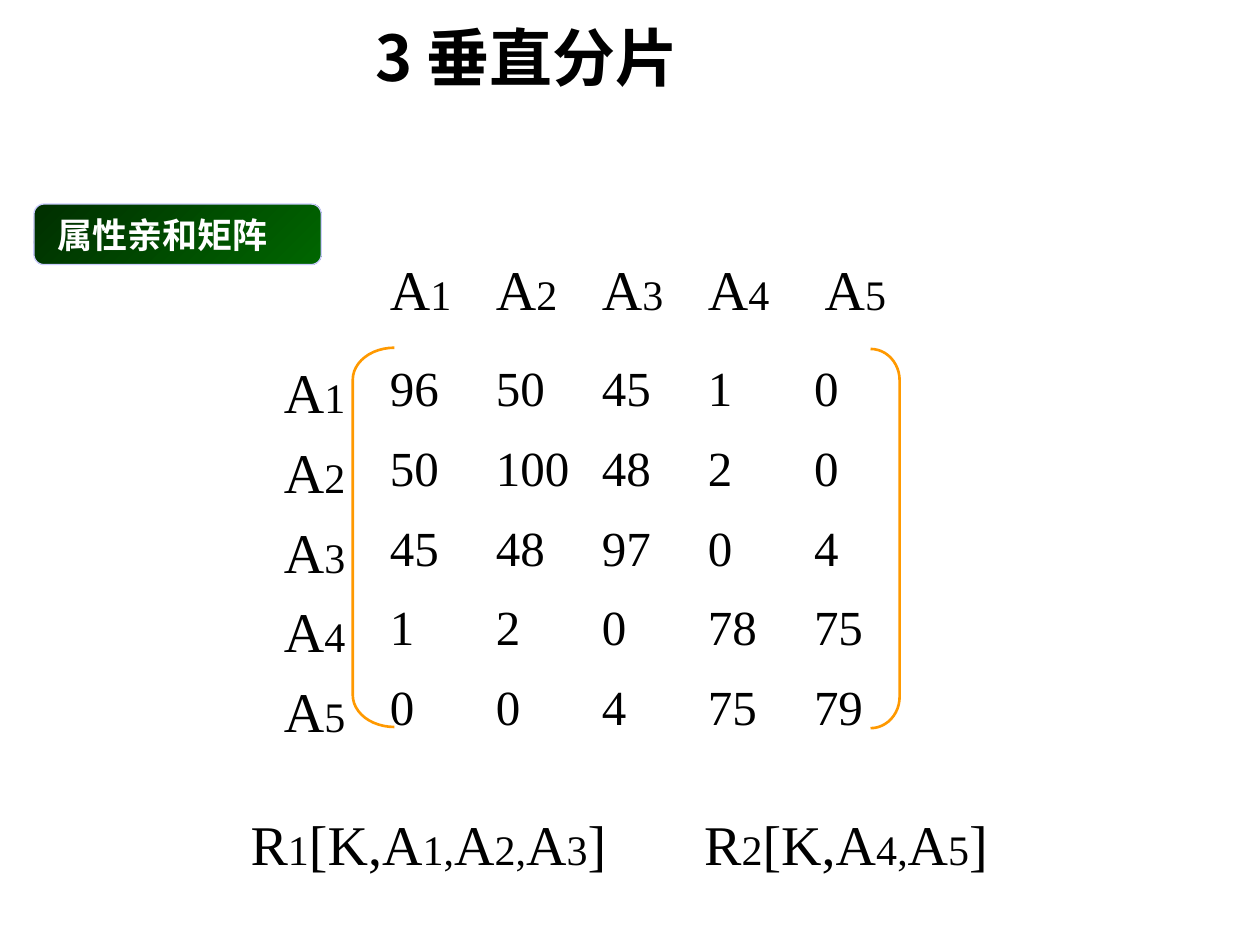
from pptx import Presentation, util as u
from pptx.dml.color import RGBColor
from pptx.enum import shapes, text
from pptx.oxml.ns import qn
from lxml import etree

COLORS = {"ink": "000000", "white": "FFFFFF", "bracket": "FF9900",
          "edge": "CCCCFF", "dark": "002F00", "green": "006600"}
MATRIX = [[96, 50, 45, 1, 0],
          [50, 100, 48, 2, 0],
          [45, 48, 97, 0, 4],
          [1, 2, 0, 78, 75],
          [0, 0, 4, 75, 79]]
LEFT, TOP, COL_W, ROW_H = 155.1, 198.9, 60.6, 45.5
HEAD_TOP, HEAD_H = 139.7, 59.2


def rgb(name):
    return RGBColor.from_string(COLORS[name])


class Deck:
    """Style and current slide, with one method per kind of element."""
    serif, cjk = "Times New Roman", "Noto Sans CJK SC"
    big, small, number = 32, 24, 28

    def __init__(self, prs):
        self.s = prs.slides.add_slide(prs.slide_layouts[6])

    def box(self, x, y, w, h, top=3.6):
        sp = self.s.shapes.add_textbox(*map(u.Pt, (x, y, w, h)))
        tf = sp.text_frame
        tf.word_wrap = True
        tf.margin_top = u.Pt(top)
        return tf

    def style(self, p, size, name, color="ink", bold=False):
        p.font.size, p.font.name, p.font.bold = u.Pt(size), name, bold
        p.font.color.rgb = rgb(color)
        for r in p.runs:
            etree.SubElement(r.font._element, qn("a:ea"), typeface=self.cjk)

    def number_cell(self, x, y, w, h, value):
        p = self.box(x, y, w, h, 5.6).paragraphs[0]
        p.text = str(value)
        self.style(p, self.number, self.serif)

    def indexed(self, x, y, w, h, parts, tab=None):
        tf = self.box(x, y, w, h, 5.6)
        tf.margin_right = 0
        p = tf.paragraphs[0]
        if tab:
            tabs = etree.SubElement(p._p.get_or_add_pPr(), qn("a:tabLst"))
            etree.SubElement(tabs, qn("a:tab"), pos=str(u.Pt(tab)), algn="l")
        p.font.name, p.font.color.rgb = self.serif, rgb("ink")
        for part in parts:
            r = p.add_run()
            r.text = part
            is_index = part[0].isdigit() or part == " "
            r.font.size = u.Pt(self.small if is_index else self.big)

    def bracket(self, x, y, w, h, adj, flip=False):
        kind = shapes.MSO_SHAPE.LEFT_BRACKET
        sp = self.s.shapes.add_shape(kind, *map(u.Pt, (x, y, w, h)))
        sp.adjustments[0] = adj
        sp.shadow.inherit = False
        sp.fill.background()
        sp.line.color.rgb, sp.line.width = rgb("bracket"), u.Pt(1.5)
        if flip:
            sp._element.spPr.xfrm.set("flipH", "1")

    def tag(self, x, y, w, h, label):
        kind = shapes.MSO_SHAPE.ROUNDED_RECTANGLE
        sp = self.s.shapes.add_shape(kind, *map(u.Pt, (x, y, w, h)))
        sp.shadow.inherit = False
        sp.fill.gradient()
        sp.fill.gradient_angle = 315
        for stop, name in zip(sp.fill.gradient_stops, ("dark", "green")):
            stop.color.rgb = rgb(name)
        for stop, position in zip(sp.fill.gradient_stops, (0, 1)):
            stop.position = position
        sp.line.color.rgb, sp.line.width = rgb("edge"), u.Pt(0.75)
        sp.text_frame.vertical_anchor = text.MSO_ANCHOR.MIDDLE
        p = sp.text_frame.paragraphs[0]
        p.text, p.alignment = label, text.PP_ALIGN.LEFT
        self.style(p, 20, self.serif, "white", True)

    def title(self, x, y, w, h, label):
        p = self.box(x, y, w, h).paragraphs[0]
        p.text = label
        self.style(p, 36, self.cjk, bold=True)


def main():
    prs = Presentation()
    prs.slide_width, prs.slide_height = u.Pt(720), u.Pt(540)
    deck = Deck(prs)
    for i, row in enumerate(MATRIX, 1):
        y = TOP + (i - 1) * ROW_H
        head = [" ", "A", str(i)] if i == len(MATRIX) else ["A", str(i)]
        deck.indexed(LEFT + i * COL_W, HEAD_TOP, COL_W, HEAD_H, head)
        deck.indexed(LEFT, y, COL_W, ROW_H, ["A", str(i)])
        for j, value in enumerate(row, 1):
            deck.number_cell(LEFT + j * COL_W, y, COL_W, ROW_H, value)
    deck.bracket(201.6, 198.7, 23.8, 216.7, 0.765)
    deck.bracket(497.5, 199.4, 16.6, 216.7, 1.079, flip=True)
    deck.indexed(136.1, 457.2, 435.6, 45.4,
                 ["R", "1", "[K,A", "1,", "A", "2,", "A", "3", "]\tR", "2",
                  "[K,A", "4,", "A", "5", "]"], tab=259.2)
    deck.tag(19.4, 116.6, 164.2, 34.6, " 属性亲和矩阵")
    deck.title(207.4, 7.2, 360, 50.4, "3 垂直分片")
    prs.save("out.pptx")


if __name__ == "__main__":
    main()
